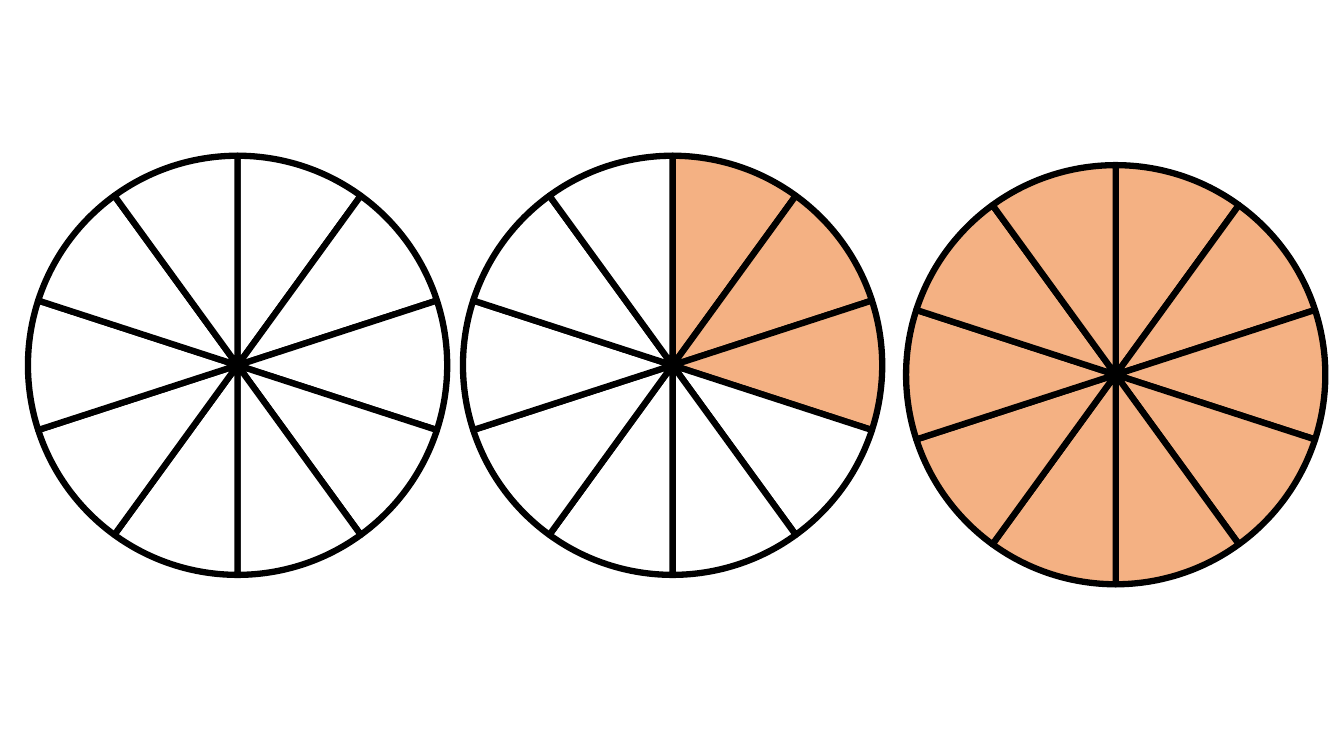
from lxml import etree
from pptx import Presentation
from pptx.chart.data import CategoryChartData
from pptx.dml.color import RGBColor
from pptx.enum.chart import XL_CHART_TYPE as ChartType
from pptx.oxml.ns import qn
from pptx.util import Inches, Pt

WHITE = RGBColor(0xFF, 0xFF, 0xFF)
BLACK = RGBColor(0x00, 0x00, 0x00)
ORANGE = RGBColor(0xF4, 0xB1, 0x83)

SLIDE_WIDTH = Inches(13.33)
SLIDE_HEIGHT = Inches(7.5)
COLUMN = SLIDE_WIDTH / 100
ROW = SLIDE_HEIGHT / 100

SLICES = 10
CHART_COLUMNS, CHART_ROWS = 38.33, 59.6
PLOT_WIDTH, PLOT_HEIGHT = 81.4, 93.2

CIRCLES = [
    {"column": -0.45, "row": 18.53, "plot_left": 6.6, "plot_top": 3.4, "shaded": 0},
    {"column": 32.03, "row": 18.53, "plot_left": 6.3, "plot_top": 3.4, "shaded": 3},
    {"column": 63.24, "row": 20.13, "plot_left": 10.9, "plot_top": 2.8, "shaded": SLICES},
]


def place_plot(chart, left, top):
    plot_area = chart.element.find(".//" + qn("c:plotArea"))
    for old_layout in plot_area.findall(qn("c:layout")):
        plot_area.remove(old_layout)
    layout = etree.Element(qn("c:layout"))
    manual = etree.SubElement(layout, qn("c:manualLayout"))
    settings = [
        ("layoutTarget", "inner"), ("xMode", "edge"), ("yMode", "edge"),
        ("x", left / 100), ("y", top / 100),
        ("w", PLOT_WIDTH / 100), ("h", PLOT_HEIGHT / 100),
    ]
    for name, value in settings:
        etree.SubElement(manual, qn(f"c:{name}")).set("val", str(value))
    plot_area.insert(0, layout)


def style_slices(series, shaded):
    for index in range(SLICES):
        slice_format = series.points[index].format
        slice_format.fill.solid()
        slice_format.fill.fore_color.rgb = ORANGE if index < shaded else WHITE
        slice_format.line.color.rgb = BLACK
        slice_format.line.width = Pt(4.5)


def add_fraction_circle(slide, column, row, plot_left, plot_top, shaded):
    data = CategoryChartData()
    data.categories = [str(number) for number in range(1, SLICES + 1)]
    data.add_series("Series 1", [10] * SLICES)
    chart = slide.shapes.add_chart(
        ChartType.PIE, round(column * COLUMN), round(row * ROW),
        round(CHART_COLUMNS * COLUMN), round(CHART_ROWS * ROW), data,
    ).chart
    chart.has_title = False
    chart.has_legend = False
    chart.font.name = "Calibri"
    chart.font.size = Pt(10)
    chart.font.color.rgb = BLACK
    plot = chart.plots[0]
    plot.vary_by_categories = True
    style_slices(plot.series[0], shaded)
    place_plot(chart, plot_left, plot_top)


def main():
    presentation = Presentation()
    presentation.slide_width = SLIDE_WIDTH
    presentation.slide_height = SLIDE_HEIGHT
    slide = presentation.slides.add_slide(presentation.slide_layouts[6])
    for circle in CIRCLES:
        add_fraction_circle(slide, **circle)
    presentation.save("out.pptx")


if __name__ == "__main__":
    main()
